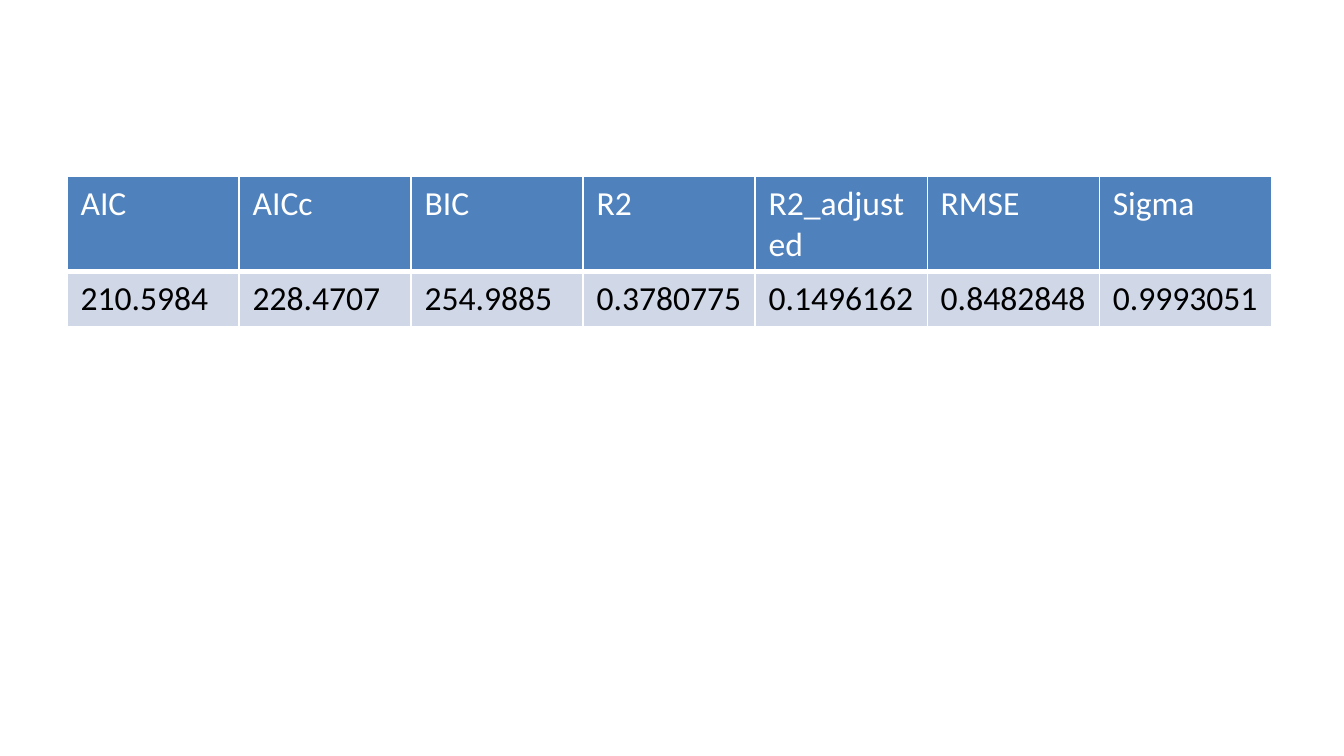
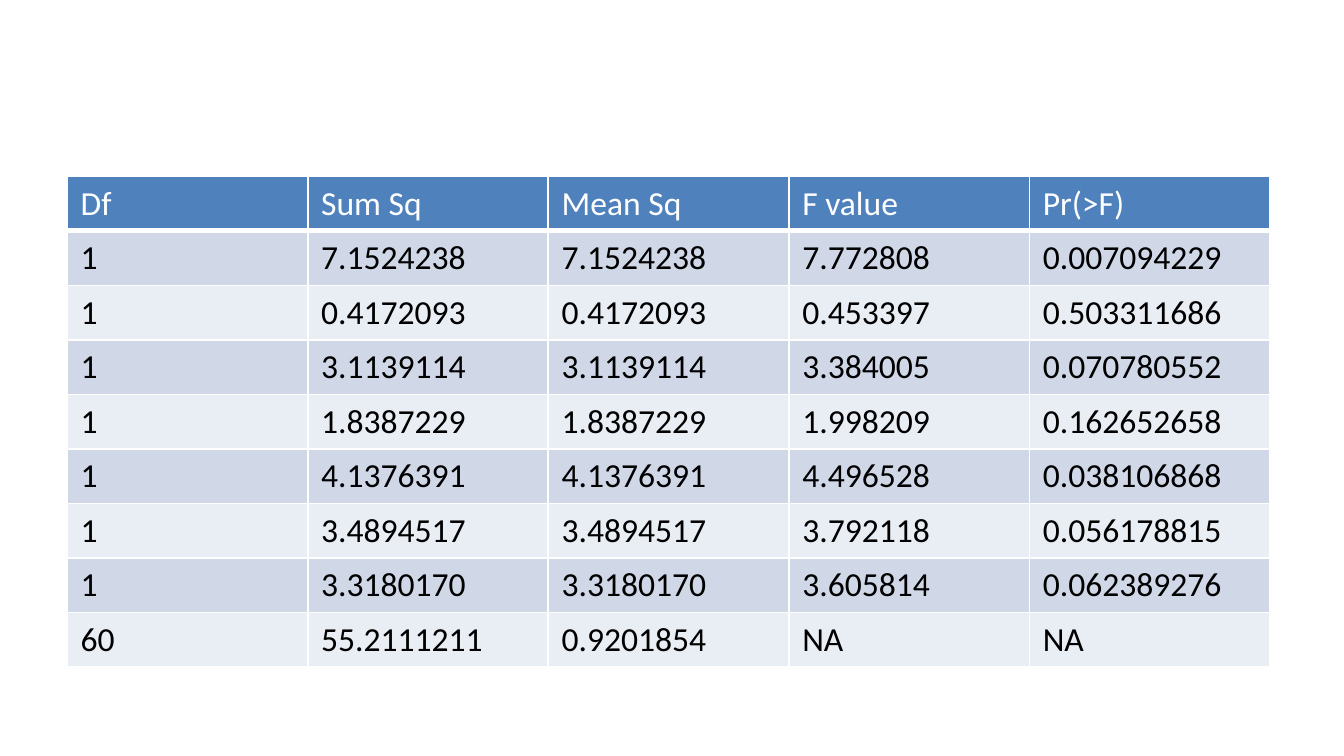
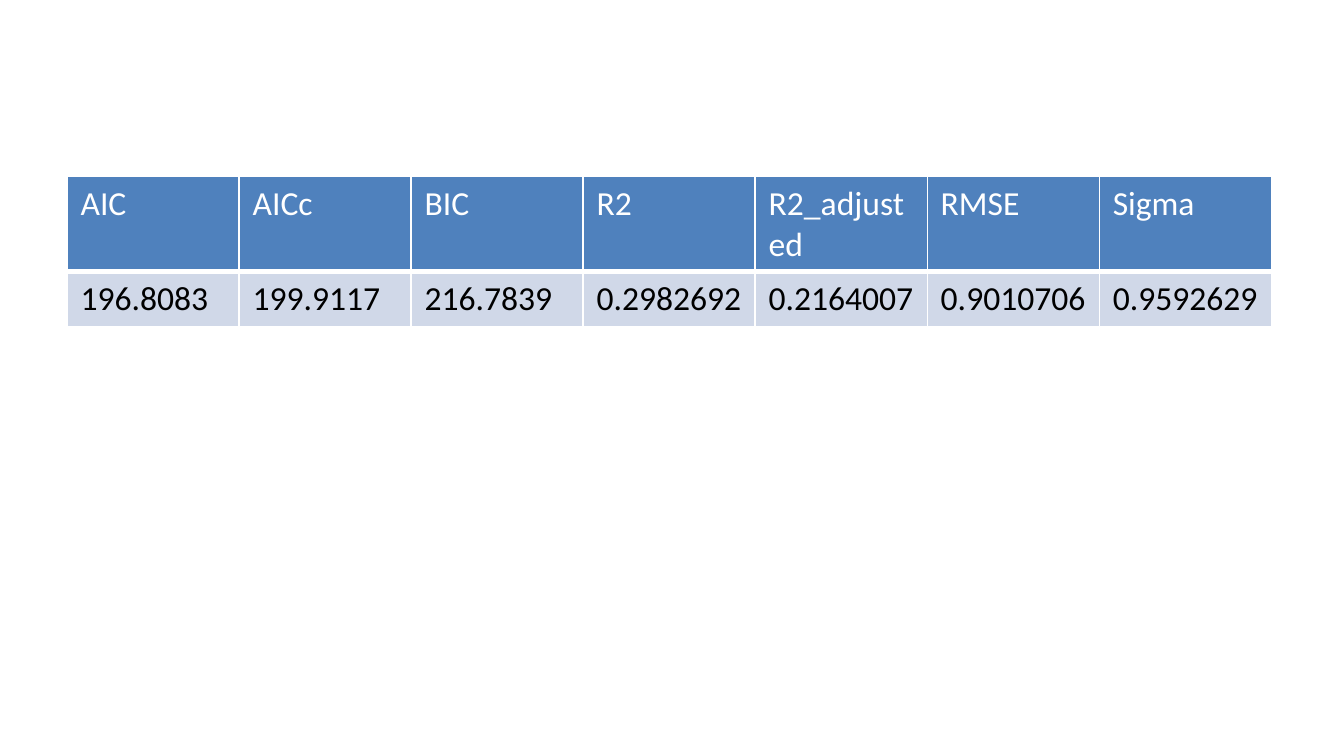
from lxml import etree
from pptx import Presentation
from pptx.dml.color import RGBColor
from pptx.oxml.ns import qn
from pptx.util import Inches, Pt

COLORS = {
    "header": "4F81BD",
    "band_dark": "D0D8E8",
    "band_light": "E9EDF4",
    "header_text": "FFFFFF",
    "body_text": "000000",
    "border": "FFFFFF",
}
FONT_NAME = "Calibri"
FONT_SIZE = 18
GRID_COLUMNS, GRID_ROWS = 20, 30
TABLE_AREA = (1, 7, 18, 19.8)
BORDER_TAGS = ("a:lnL", "a:lnR", "a:lnT", "a:lnB")

FIT_HEADER = ["AIC", "AICc", "BIC", "R2", "R2_adjusted", "RMSE", "Sigma"]
FULL_MODEL_FIT = ["210.5984", "228.4707", "254.9885", "0.3780775",
                  "0.1496162", "0.8482848", "0.9993051"]
REDUCED_MODEL_FIT = ["196.8083", "199.9117", "216.7839", "0.2982692",
                     "0.2164007", "0.9010706", "0.9592629"]
ANOVA_HEADER = ["Df", "Sum Sq", "Mean Sq", "F value", "Pr(>F)"]
ANOVA_TERMS = [
    ("7.1524238", "7.772808", "0.007094229"),
    ("0.4172093", "0.453397", "0.503311686"),
    ("3.1139114", "3.384005", "0.070780552"),
    ("1.8387229", "1.998209", "0.162652658"),
    ("4.1376391", "4.496528", "0.038106868"),
    ("3.4894517", "3.792118", "0.056178815"),
    ("3.3180170", "3.605814", "0.062389276"),
]
ANOVA_RESIDUALS = ["60", "55.2111211", "0.9201854", "NA", "NA"]


class DeckBuilder:
    """Holds the table style, the page grid and the current slide."""

    def __init__(self):
        self.deck = Presentation()
        self.deck.slide_width = Inches(10)
        self.deck.slide_height = Inches(5.625)
        self.page = None

    def add_page(self):
        self.page = self.deck.slides.add_slide(self.deck.slide_layouts[6])

    def across(self, columns):
        return round(self.deck.slide_width * columns / GRID_COLUMNS)

    def down(self, rows):
        return round(self.deck.slide_height * rows / GRID_ROWS)

    def add_table(self, header, body, column_width):
        left, top, width, height = TABLE_AREA
        lines = [header, *body]
        frame = self.page.shapes.add_table(
            len(lines), len(header), self.across(left), self.down(top),
            self.across(width), self.down(height))
        table = frame.table
        for column in table.columns:
            column.width = self.across(column_width)
        for row_index, (row, texts) in enumerate(zip(table.rows, lines)):
            row.height = 0
            for cell, text in zip(row.cells, texts):
                self.style_cell(cell, text, row_index)
        frame.height = self.down(height)

    def style_cell(self, cell, text, row_index):
        is_header = row_index == 0
        band = "band_dark" if row_index % 2 else "band_light"
        cell.text = text
        font = cell.text_frame.paragraphs[0].font
        font.name = FONT_NAME
        font.size = Pt(FONT_SIZE)
        font.bold = False
        font.color.rgb = RGBColor.from_string(
            COLORS["header_text" if is_header else "body_text"])
        self.draw_borders(cell, bottom_width=3 if is_header else 1)
        cell.fill.solid()
        cell.fill.fore_color.rgb = RGBColor.from_string(
            COLORS["header" if is_header else band])

    def draw_borders(self, cell, bottom_width):
        properties = cell._tc.get_or_add_tcPr()
        for tag, width in zip(BORDER_TAGS, (1, 1, 1, bottom_width)):
            line = etree.SubElement(properties, qn(tag), w=str(Pt(width)))
            fill = etree.SubElement(line, qn("a:solidFill"))
            etree.SubElement(fill, qn("a:srgbClr"), val=COLORS["border"])


def main():
    anova = [["1", square, square, f_value, probability]
             for square, f_value, probability in ANOVA_TERMS]
    pages = [
        (FIT_HEADER, [FULL_MODEL_FIT], 2.56),
        (ANOVA_HEADER, [*anova, ANOVA_RESIDUALS], 3.58),
        (FIT_HEADER, [REDUCED_MODEL_FIT], 2.56),
    ]
    builder = DeckBuilder()
    for header, body, column_width in pages:
        builder.add_page()
        builder.add_table(header, body, column_width)
    builder.deck.save("out.pptx")


if __name__ == "__main__":
    main()
